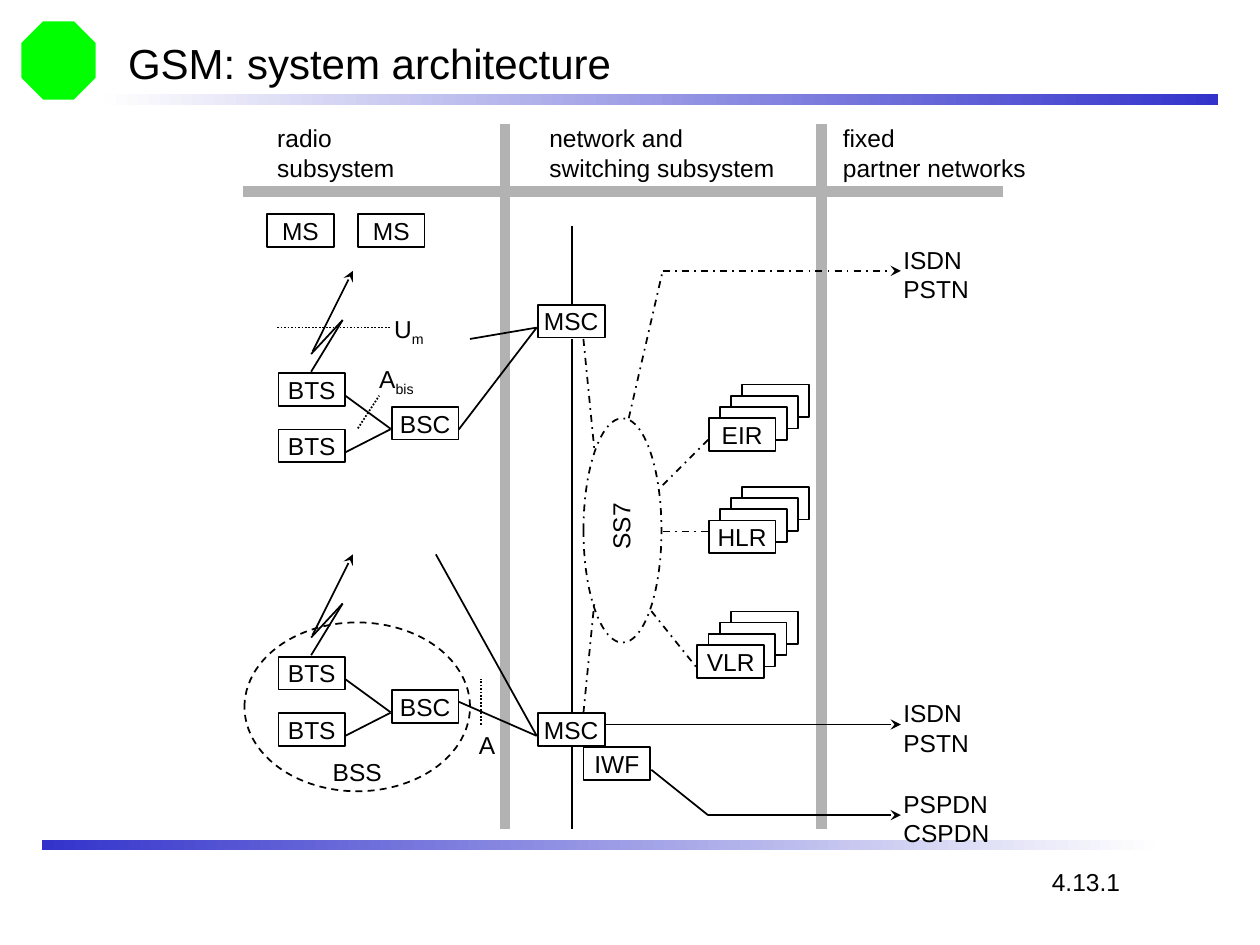
from lxml.etree import SubElement
from pptx import Presentation
from pptx.dml.color import RGBColor
from pptx.enum.dml import MSO_LINE
from pptx.enum.shapes import MSO_CONNECTOR, MSO_SHAPE
from pptx.enum.text import MSO_ANCHOR, PP_ALIGN
from pptx.oxml.ns import qn
from pptx.util import Pt

SOLID, DASH = None, MSO_LINE.DASH
DOT, DASH_DOT = MSO_LINE.ROUND_DOT, MSO_LINE.DASH_DOT


def color(value):
    return RGBColor.from_string(value)


class Diagram:
    font_name = "Arial"
    font_size = 14
    ink, paper, gray, blue, green = "000000", "FFFFFF", "B2B2B2", "3333CC", "00FF00"
    node_width, node_height = 38.2, 18.7

    def __init__(self, slide):
        self.slide = slide

    def set_font(self, paragraph, size=font_size):
        paragraph.font.name = self.font_name
        paragraph.font.size = Pt(size)
        paragraph.font.color.rgb = color(self.ink)

    def title(self, text):
        shape = self.slide.shapes.title
        shape.left, shape.top, shape.width, shape.height = Pt(66), Pt(18), Pt(612), Pt(36)
        frame = shape.text_frame
        frame.text = text
        frame.vertical_anchor = MSO_ANCHOR.MIDDLE
        frame.paragraphs[0].alignment = PP_ALIGN.LEFT
        self.set_font(frame.paragraphs[0], 24)

    def shape(self, kind, left, top, width, height, fill=None, outline=True, dash=SOLID):
        shape = self.slide.shapes.add_shape(kind, Pt(left), Pt(top), Pt(width), Pt(height))
        shape.shadow.inherit = False
        if fill:
            shape.fill.solid()
            shape.fill.fore_color.rgb = color(fill)
        else:
            shape.fill.background()
        if outline:
            shape.line.color.rgb = color(self.ink)
            shape.line.width = Pt(1)
            shape.line.dash_style = dash
        else:
            shape.line.fill.background()
        return shape

    def gradient_bar(self, left, top, first, last):
        bar = self.shape(MSO_SHAPE.RECTANGLE, left, top, 636, 6, outline=False)
        bar.fill.gradient()
        bar.fill.gradient_angle = 0
        for stop, value in zip(bar.fill.gradient_stops, (first, last)):
            stop.color.rgb = color(value)

    def node(self, text, left, top, fill=None):
        shape = self.shape(MSO_SHAPE.RECTANGLE, left, top,
                           self.node_width, self.node_height, fill)
        if text:
            frame = shape.text_frame
            frame.word_wrap = False
            frame.vertical_anchor = MSO_ANCHOR.MIDDLE
            frame.text = text
            frame.paragraphs[0].alignment = PP_ALIGN.CENTER
            self.set_font(frame.paragraphs[0])

    def stack(self, text, left, top, depth=4, step=6.4):
        for level in reversed(range(depth)):
            self.node(None if level else text, left + level * step,
                      top - level * step, self.paper)

    def label(self, text, left, top, width, height, subscript=None, rotation=0, wrap=True):
        box = self.slide.shapes.add_textbox(Pt(left), Pt(top), Pt(width), Pt(height))
        box.rotation = rotation
        frame = box.text_frame
        frame.word_wrap = wrap
        if wrap:
            frame.margin_left = frame.margin_right = Pt(7.9)
            frame.margin_top = frame.margin_bottom = Pt(4.3)
        frame.text = text
        paragraph = frame.paragraphs[0]
        if subscript:
            run = paragraph.add_run()
            run.text = subscript
            run._r.get_or_add_rPr().set("baseline", "-25000")
        self.set_font(paragraph)

    def line(self, start, end, dash=SOLID, arrow=False, stroke=ink, width=1):
        connector = self.slide.shapes.add_connector(
            MSO_CONNECTOR.STRAIGHT, *(Pt(value) for value in (*start, *end)))
        connector.line.color.rgb = color(stroke)
        connector.line.width = Pt(width)
        connector.line.dash_style = dash
        if arrow:
            SubElement(connector.line._get_or_add_ln(), qn("a:tailEnd"), type="stealth")
        SubElement(connector._element.spPr, qn("a:effectLst"))

    def base_station(self, top):
        self.line((177.8, top + 57.6), (195.8, top + 28.1))
        self.line((195.8, top + 28.1), (177.8, top + 47.5))
        self.line((178.6, top + 46.1), (201.6, top), arrow=True)
        self.line((197.3, top + 71.3), (223.2, top + 90.2))
        self.line((197.3, top + 103.7), (223.2, top + 90.5))
        self.node("BTS", 159.1, top + 58.5)
        self.node("BTS", 159.1, top + 90.7)
        self.node("BSC", 223.9, top + 77.7)


def main():
    presentation = Presentation()
    presentation.slide_width, presentation.slide_height = Pt(720), Pt(540)
    slide = presentation.slides.add_slide(presentation.slide_layouts[5])
    diagram = Diagram(slide)

    diagram.shape(MSO_SHAPE.OCTAGON, 12.2, 12.2, 42.5, 44.7, diagram.green, outline=False)
    diagram.gradient_bar(60, 54, "FEFEFE", diagram.blue)
    diagram.gradient_bar(24, 480, diagram.blue, "FEFEFE")
    diagram.title("GSM: system architecture")

    for start, end in [((288.7, 70.6), (288.7, 473.8)), ((469.4, 70.6), (469.4, 473.8)),
                       ((139, 109.4), (411.8, 109.4)), ((301, 109.4), (573.1, 109.4))]:
        diagram.line(start, end, stroke=diagram.gray, width=6)

    for text, left, width in [("radio\vsubsystem", 150.5, 101.5),
                              ("network and switching subsystem", 306, 149.8),
                              ("fixed\vpartner networks", 473.8, 127.4)]:
        diagram.label(text, left, 66.2, width, 41.8)

    for left in (152.6, 204.5):
        diagram.node("MS", left, 122.4)
    for top in (154.8, 316.8):
        diagram.base_station(top)
    diagram.shape(MSO_SHAPE.OVAL, 139.7, 355.7, 128.9, 96.5, dash=DASH)
    diagram.label("BSS", 182.2, 428.4, 45.4, 24.5)

    diagram.line((158.4, 187.2), (223.2, 187.2), DOT)
    diagram.line((204.5, 244.8), (216.7, 226.1), DOT)
    diagram.line((275, 414), (275, 388.1), DOT)
    diagram.label("U", 217.4, 175, 50.4, 27.4, subscript="m")
    diagram.label("A", 208.8, 203.8, 50.4, 27.4, subscript="bis")
    diagram.label("A", 265.7, 412.6, 28.1, 24.5)

    upper_port, lower_port = (306.7, 187.2), (306.7, 420.5)
    diagram.line((262.1, 245.5), upper_port)
    diagram.line(upper_port, (268.6, 193.7))
    diagram.line((262.1, 401), lower_port)
    diagram.line(lower_port, (249.1, 316.8))
    diagram.node("MSC", 307.4, 174.2)
    diagram.node("MSC", 307.4, 407.5)
    diagram.node("IWF", 333.4, 427)
    for top, bottom in [(128.9, 174.2), (193.7, 407.5), (427, 473.8)]:
        diagram.line((326.9, top), (326.9, bottom))

    diagram.shape(MSO_SHAPE.OVAL, 333.4, 239, 44.6, 128.2, dash=DASH_DOT)
    diagram.label("SS7", 328.3, 283.7, 51.8, 24.5, rotation=270)
    for start, end in [((333.4, 193.7), (339.8, 258.5)), ((333.4, 407.5), (339.8, 342.7)),
                       ((378.7, 277.2), (404.6, 251.3)), ((378.7, 303.8), (404.6, 303.8)),
                       ((372.2, 349.2), (398.2, 381.6)), ((359.3, 239), (378.7, 154.8))]:
        diagram.line(start, end, DASH_DOT)
    for text, left, top in [("EIR", 405, 239), ("HLR", 405, 297.4), ("VLR", 398.5, 368.6)]:
        diagram.stack(text, left, top)

    diagram.line((372.2, 439.9), (404.6, 465.8))
    for left, height, dash, text in [(378.7, 154.8, DASH_DOT, "ISDN\vPSTN"),
                                     (346.3, 414, SOLID, "ISDN\vPSTN"),
                                     (404.6, 465.8, SOLID, "PSPDN\vCSPDN")]:
        diagram.line((left, height), (514.8, height), dash, arrow=True)
        diagram.label(text, 508.3, height - 19.4, 69.8, 41.8)

    diagram.label("4.13.1", 594, 491.8, 53.3, 24.5, wrap=False)
    presentation.save("out.pptx")


if __name__ == "__main__":
    main()
